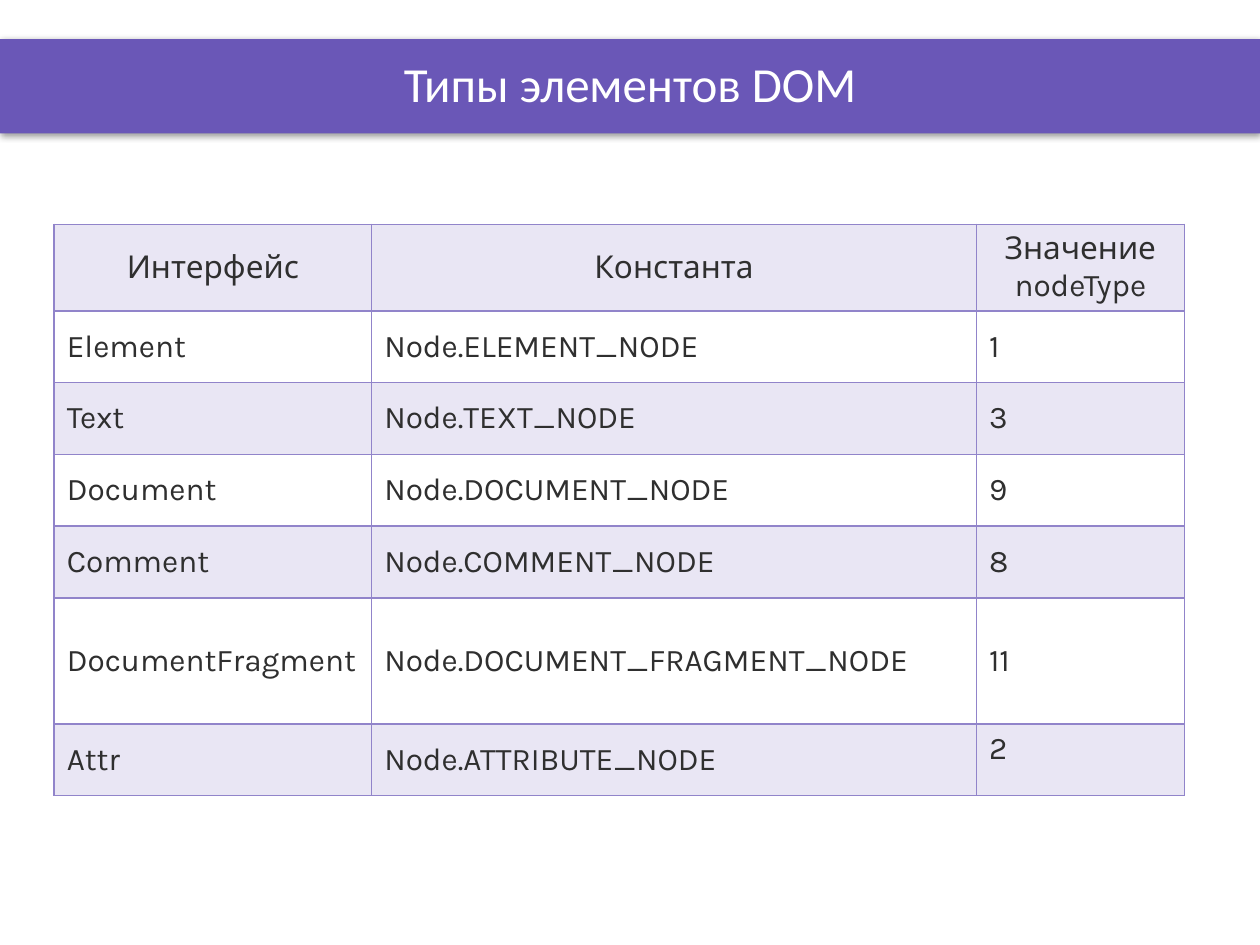
from typing import NamedTuple

import lxml.etree
import pptx
import pptx.dml.color
import pptx.enum.shapes
import pptx.enum.text
import pptx.oxml.ns
import pptx.slide
import pptx.table
import pptx.util

Inches = pptx.util.Inches
Pt = pptx.util.Pt
ALIGN = pptx.enum.text.PP_ALIGN
ANCHOR = pptx.enum.text.MSO_ANCHOR
qn = pptx.oxml.ns.qn

COLORS = {
    "bar": "6A57B7",
    "line": "9184CA",
    "text": "2F2F2F",
    "title": "FFFFFF",
    "shadow": "000000",
}
WIDTHS = (2.52, 4.8, 1.65)
ROW = 0.57


class Entry(NamedTuple):
    face: str
    const: str
    value: str
    height: float = ROW


ENTRIES = [
    Entry("Интерфейс", "Константа", "Значение nodeType"),
    Entry("Element", "Node.ELEMENT_NODE", "1"),
    Entry("Text", "Node.TEXT_NODE", "3"),
    Entry("Document", "Node.DOCUMENT_NODE", "9"),
    Entry("Comment", "Node.COMMENT_NODE", "8"),
    Entry("DocumentFragment", "Node.DOCUMENT_FRAGMENT_NODE", "11", 1),
    Entry("Attr", "Node.ATTRIBUTE_NODE", "2"),
]


def color(name: str) -> pptx.dml.color.RGBColor:
    return pptx.dml.color.RGBColor.from_string(COLORS[name])


def node(parent, tag: str, **attrs: str):
    return lxml.etree.SubElement(parent, qn(f"a:{tag}"), attrs)


def write(para, text: str, font: str, size: int, tint: str) -> None:
    run = para.add_run()
    run.text = text
    run.font.name = font
    run.font.size = Pt(size)
    run.font.bold = False
    run.font.color.rgb = color(tint)


def add_bar(slide: pptx.slide.Slide) -> None:
    bar = slide.shapes.add_shape(
        pptx.enum.shapes.MSO_SHAPE.RECTANGLE,
        Inches(0), Inches(0.31), Inches(10), Inches(0.75))
    bar.fill.solid()
    bar.fill.fore_color.rgb = color("bar")
    bar.line.fill.background()
    # Soft shadow straight below the bar
    bar.shadow.inherit = False
    glow = node(bar.element.spPr.find(qn("a:effectLst")), "outerShdw",
                blurRad=str(Pt(4)), dist=str(Pt(1)), dir="5400000",
                rotWithShape="0")
    tint = node(glow, "srgbClr", val=COLORS["shadow"])
    node(tint, "alpha", val="40000")
    # The bar lies behind the title
    slide.shapes.title.element.addprevious(bar.element)


def add_title(slide: pptx.slide.Slide, text: str) -> None:
    title = slide.shapes.title
    title.left, title.top = Inches(0.5), Inches(0)
    title.width, title.height = Inches(9), Inches(1.31)
    title.text_frame.vertical_anchor = ANCHOR.MIDDLE
    para = title.text_frame.paragraphs[0]
    para.alignment = ALIGN.CENTER
    write(para, text, "Calibri", 28, "title")


def style(cell: pptx.table._Cell, band: bool) -> None:
    props = cell._tc.get_or_add_tcPr()
    if band:
        cell.fill.solid()
        cell.fill.fore_color.rgb = color("line")
        node(props.find(f".//{qn('a:srgbClr')}"), "alpha", val="20000")
    else:
        cell.fill.background()
    # Borders come before the fill
    for spot, side in enumerate(("lnL", "lnR", "lnT", "lnB")):
        edge = node(props, side, w=str(Pt(1)))
        node(node(edge, "solidFill"), "srgbClr", val=COLORS["line"])
        props.insert(spot, edge)


def add_grid(slide: pptx.slide.Slide, entries: list[Entry]) -> None:
    grid = slide.shapes.add_table(
        len(entries), len(WIDTHS), Inches(0.43), Inches(1.78),
        Inches(sum(WIDTHS)), Inches(sum(e.height for e in entries))).table
    grid.first_row = grid.horz_banding = False
    for col, width in zip(grid.columns, WIDTHS):
        col.width = Inches(width)
    for i, entry in enumerate(entries):
        grid.rows[i].height = Inches(entry.height)
        for j, text in enumerate((entry.face, entry.const, entry.value)):
            cell = grid.cell(i, j)
            style(cell, i % 2 == 0)
            cell.vertical_anchor = ANCHOR.MIDDLE
            para = cell.text_frame.paragraphs[0]
            para.alignment = ALIGN.CENTER if i == 0 else ALIGN.LEFT
            write(para, text, "Karla", 18, "text")
    # The last value sits at the top of its cell
    cell.vertical_anchor = ANCHOR.TOP


def main() -> None:
    deck = pptx.Presentation()
    deck.slide_width, deck.slide_height = Inches(10), Inches(7.5)
    slide = deck.slides.add_slide(deck.slide_layouts[5])
    add_bar(slide)
    add_title(slide, "Типы элементов DOM")
    add_grid(slide, ENTRIES)
    deck.save("out.pptx")


if __name__ == "__main__":
    main()
